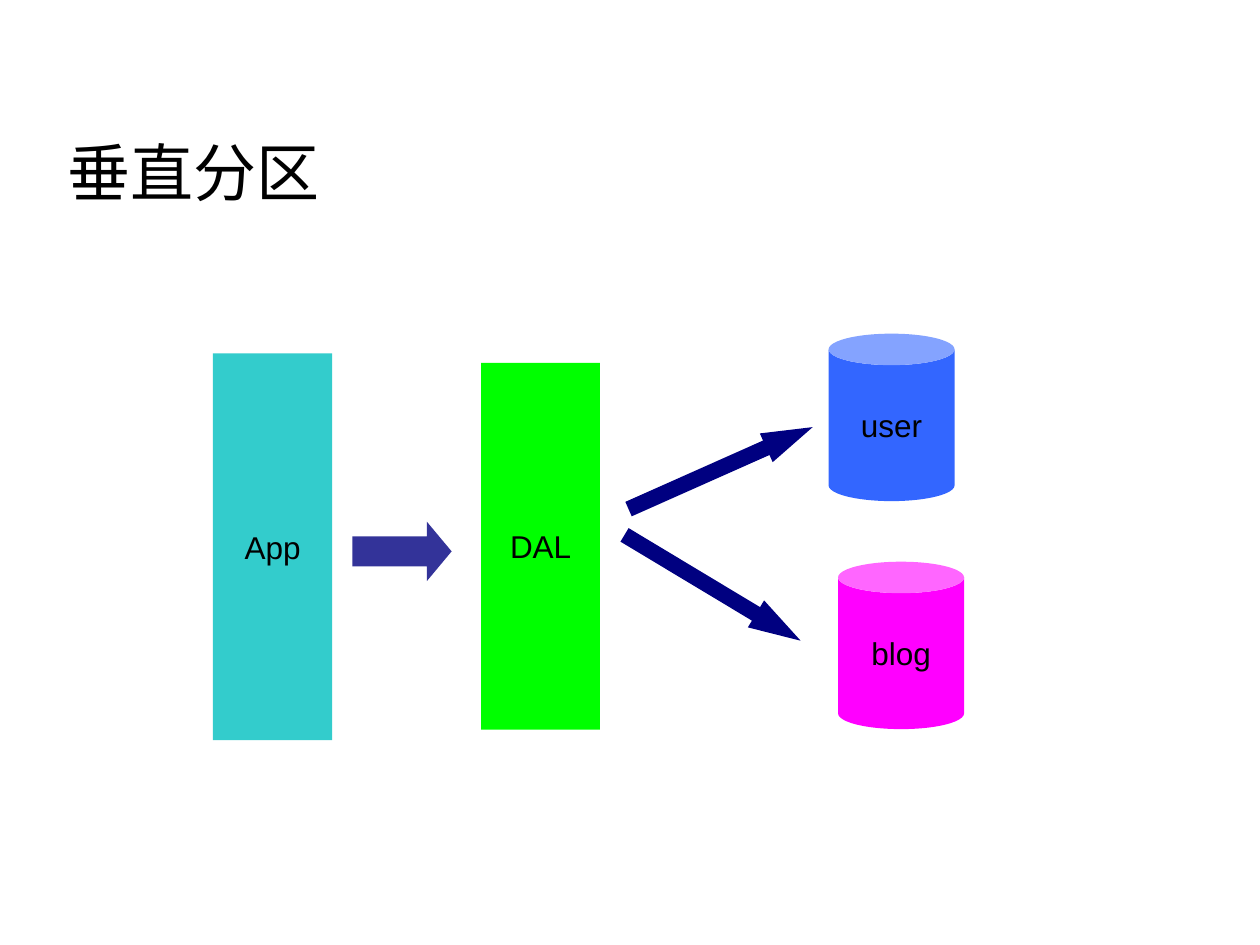
from pptx import Presentation
from pptx.dml.color import RGBColor
from pptx.enum.shapes import MSO_SHAPE
from pptx.enum.text import MSO_ANCHOR, PP_ALIGN
from pptx.util import Pt

CAN, RECT, ARROW = MSO_SHAPE.CAN, MSO_SHAPE.RECTANGLE, MSO_SHAPE.RIGHT_ARROW
LEFT, CENTER = PP_ALIGN.LEFT, PP_ALIGN.CENTER
MIDDLE = MSO_ANCHOR.MIDDLE

SLIDE_SIZE = (720, 540)
TITLE = "垂直分区"
TITLE_BOX = (31.7, 61.2, 646.6, 73.4)
TITLE_FORMAT = {"size": Pt(36), "name": "Quicksand"}
LABEL_FORMAT = {"size": Pt(18), "name": "Arial"}
INSETS = {
    "margin_left": Pt(7.2),
    "margin_right": Pt(7.2),
    "margin_top": Pt(3.6),
    "margin_bottom": Pt(3.6),
    "vertical_anchor": MIDDLE,
}

# label, preset, (left, top, width, height), fill
COMPONENTS = [
    ("user", CAN, (473.5, 190.7, 72, 95.7), "3366FF"),
    ("blog", CAN, (478.9, 321, 72, 95.7), "FF00FF"),
    ("App", RECT, (121.7, 202, 68.2, 221), "33CCCC"),
    ("DAL", RECT, (275, 207.4, 67.9, 209.6), "00FF00"),
]
# (left, top, width, height), rotation, head length ratio, fill
FLOWS = [
    ((201.4, 298.1, 56.7, 34), 0, 0.417, "333399"),
    ((354.2, 258.5, 115.2, 18), 336, 1.614, "000080"),
    ((348.5, 326.9, 117.4, 18), 31, 1.652, "000080"),
]


def color(hex_value):
    """Turn a hex string into a colour."""
    return RGBColor.from_string(hex_value)


def apply_format(target, values):
    """Set each attribute named in a dict of format values."""
    for name, value in values.items():
        setattr(target, name, value)


def write(shape, text, font_format, align, wrap):
    """Write one vertically centred black line into a shape."""
    frame = shape.text_frame
    apply_format(frame, INSETS)
    frame.word_wrap = wrap
    paragraph = frame.paragraphs[0]
    paragraph.alignment = align
    run = paragraph.add_run()
    run.text = text
    apply_format(run.font, font_format)
    run.font.color.rgb = color("000000")


def add_solid(slide, preset, box, fill):
    """Add a flat preset shape without outline or shadow."""
    shape = slide.shapes.add_shape(preset, *map(Pt, box))
    shape.shadow.inherit = False
    shape.fill.solid()
    shape.fill.fore_color.rgb = color(fill)
    shape.line.fill.background()
    return shape


def build():
    """Build the partitioning diagram and save it."""
    deck = Presentation()
    deck.slide_width, deck.slide_height = map(Pt, SLIDE_SIZE)
    slide = deck.slides.add_slide(deck.slide_layouts[6])

    title = slide.shapes.add_textbox(*map(Pt, TITLE_BOX))
    write(title, TITLE, TITLE_FORMAT, LEFT, True)

    for label, preset, box, fill in COMPONENTS:
        component = add_solid(slide, preset, box, fill)
        write(component, label, LABEL_FORMAT, CENTER, False)

    for box, rotation, head_ratio, fill in FLOWS:
        flow = add_solid(slide, ARROW, box, fill)
        flow.rotation = rotation
        flow.adjustments[1] = head_ratio

    deck.save("out.pptx")


build()
